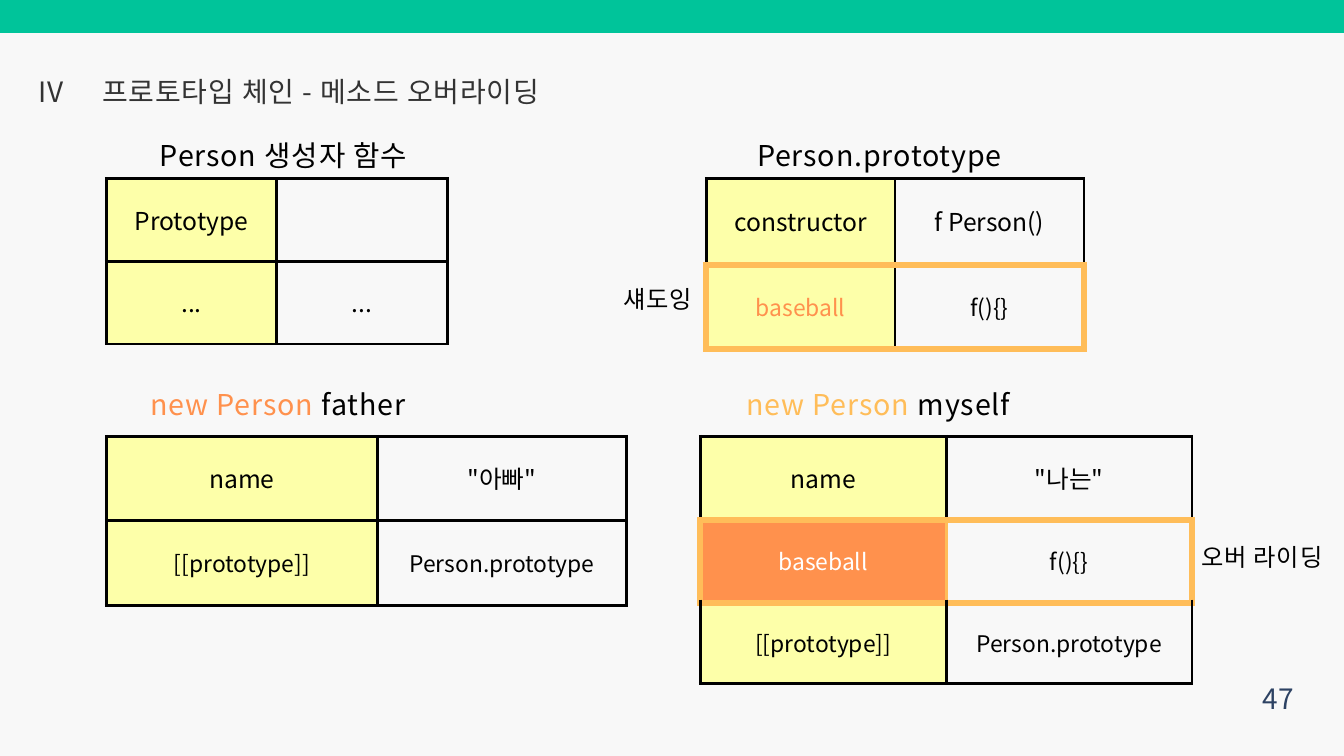
from lxml.etree import SubElement
from pptx import Presentation
from pptx.dml.color import RGBColor
from pptx.enum.shapes import MSO_SHAPE
from pptx.enum.text import MSO_ANCHOR, PP_ALIGN
from pptx.oxml import parse_xml
from pptx.oxml.ns import nsdecls, qn
from pptx.util import Inches, Pt

FONT = "Noto Sans CJK KR"
COLOURS = {
    "paper": "F8F8F8", "banner": "00C49A", "title": "333333", "page": "2D4263",
    "ink": "000000", "key": "FDFFA9", "white": "FFFFFF",
    "orange": "FF914D", "amber": "FFBD59",
}
WIDTH, HEIGHT = 20, 11.25
THIN, THICK = 3.36, 7.82
LARGE, SMALL = 26.4, 24.5
LEFT, CENTER, RIGHT = PP_ALIGN.LEFT, PP_ALIGN.CENTER, PP_ALIGN.RIGHT

# Content: place, runs of (text, colour), size, line spacing, tracking, alignment
TITLE = ((1.52, 1.11, 11.58, 0.51), [("프로토타입 체인 - 메소드 오버라이딩", "title")], 30, 36, 0.9, LEFT)
LABELS = [
    ((0.46, 1.11, 0.59, 0.51), [("IV", "title")], 30, 36, 0.9, CENTER),
    ((2.12, 2.05, 4.2, 0.5), [("Person 생성자 함수", "ink")], 30.7, 36.9, 0.9, CENTER),
    ((11.1, 2.05, 3.98, 0.5), [("Person.prototype", "ink")], 30.7, 36.9, 0.9, CENTER),
    ((1.95, 5.76, 4.37, 0.5), [("new Person", "orange"), (" father", "ink")], 30.7, 36.9, 0.9, CENTER),
    ((10.81, 5.76, 4.52, 0.5), [("new Person", "amber"), (" myself", "ink")], 30.7, 36.9, 0.9, CENTER),
    ((17.74, 8.07, 2.08, 0.43), [("오버 라이딩", "ink")], 26, 31.2, 0.8, CENTER),
    ((9.16, 4.23, 1.26, 0.43), [("섀도잉", "ink")], 26, 31.2, 0.8, CENTER),
    ((18.5, 9.97, 0.75, 0.64), [("47", "page")], 30, 48, 0, RIGHT),
]

# Rows hold key, value and text size; "marked" is the row framed in amber
TABLES = [
    {"at": (1.58, 2.66), "columns": (2.54, 2.54), "heights": (1.23, 1.23),
     "rows": [("Prototype", "", LARGE), ("...", "...", LARGE)]},
    {"at": (1.58, 6.49), "columns": (4.04, 3.7), "heights": (1.26, 1.26),
     "rows": [("name", '"아빠"', LARGE), ("[[prototype]]", "Person.prototype", SMALL)]},
    {"at": (10.51, 2.66), "columns": (2.81, 2.81), "heights": (1.28, 1.25),
     "rows": [("constructor", "f Person()", LARGE), ("baseball", "f(){}", SMALL)],
     "marked": 1, "key_text": "orange", "key_fill": "key", "divider": "ink"},
    {"at": (10.42, 6.49), "columns": (3.66, 3.66), "heights": (1.25, 1.23, 1.2),
     "rows": [("name", '"나는"', LARGE), ("baseball", "f(){}", SMALL),
              ("[[prototype]]", "Person.prototype", SMALL)],
     "marked": 1, "key_text": "white", "key_fill": "orange", "divider": "amber"},
]


def rgb(name):
    return RGBColor.from_string(COLOURS[name])


def write(frame, runs, size, spacing, tracking=0, align=CENTER):
    paragraph = frame.paragraphs[0]
    paragraph.alignment = align
    paragraph.line_spacing = Pt(spacing)
    for text, colour in runs:
        run = paragraph.add_run()
        run.text = text
        run.font.size = Pt(size)
        run.font.name = FONT
        run.font.color.rgb = rgb(colour)
        properties = run.font._element
        SubElement(properties, qn("a:ea")).set("typeface", FONT)
        if tracking:
            properties.set("spc", str(round(tracking * 100)))


def fill_label(shape, place, *text):
    shape.left, shape.top, shape.width, shape.height = map(Inches, place)
    frame = shape.text_frame
    frame.word_wrap = True
    frame.vertical_anchor = MSO_ANCHOR.TOP
    frame.margin_left = frame.margin_right = frame.margin_top = frame.margin_bottom = 0
    write(frame, *text)


def set_borders(cell, borders):
    properties = cell._tc.get_or_add_tcPr()
    for index, side in enumerate("LRTB"):
        colour, width = borders[side]
        properties.insert(index, parse_xml(
            f'<a:ln{side} {nsdecls("a")} w="{Pt(width)}"><a:solidFill>'
            f'<a:srgbClr val="{COLOURS[colour]}"/></a:solidFill></a:ln{side}>'))


def cell_borders(data, row, column):
    borders = dict.fromkeys("LRTB", ("ink", THIN))
    marked = data.get("marked")
    if marked is None:
        return borders
    frame = ("amber", THICK)
    if row in (marked, marked + 1):
        borders["T"] = frame
    if row in (marked, marked - 1):
        borders["B"] = frame
    if row == marked:
        outer, inner = ("L", "R") if column == 0 else ("R", "L")
        borders[outer], borders[inner] = frame, (data["divider"], THIN)
    return borders


def add_property_table(slide, data):
    columns, heights = data["columns"], data["heights"]
    place = (*data["at"], sum(columns), sum(heights))
    table = slide.shapes.add_table(len(heights), len(columns), *map(Inches, place)).table
    table.first_row = table.horz_banding = False
    for column, width in zip(table.columns, columns):
        column.width = Inches(width)
    for r, (*texts, size) in enumerate(data["rows"]):
        table.rows[r].height = Inches(heights[r])
        for c, text in enumerate(texts):
            cell = table.cell(r, c)
            marked_key = c == 0 and r == data.get("marked")
            cell.vertical_anchor = MSO_ANCHOR.MIDDLE
            cell.margin_left = cell.margin_right = Inches(0.23)
            cell.margin_top = cell.margin_bottom = Inches(0.23)
            if c == 0:
                cell.fill.solid()
                cell.fill.fore_color.rgb = rgb(data["key_fill"] if marked_key else "key")
            else:
                cell.fill.background()
            if text:
                colour = data["key_text"] if marked_key else "ink"
                write(cell.text_frame, [(text, colour)], size, size * 1.4)
            set_borders(cell, cell_borders(data, r, c))


def main():
    deck = Presentation()
    deck.slide_width, deck.slide_height = Inches(WIDTH), Inches(HEIGHT)
    slide = deck.slides.add_slide(deck.slide_layouts[5])
    slide.background.fill.solid()
    slide.background.fill.fore_color.rgb = rgb("paper")

    # Banner along the top edge
    banner = slide.shapes.add_shape(MSO_SHAPE.RECTANGLE, 0, 0, Inches(WIDTH), Inches(0.49))
    banner.shadow.inherit = False
    banner.fill.solid()
    banner.fill.fore_color.rgb = rgb("banner")
    banner.line.fill.background()

    # Object tables
    for data in TABLES:
        add_property_table(slide, data)

    # Title, captions and page number
    fill_label(slide.shapes.title, *TITLE)
    for place, *text in LABELS:
        fill_label(slide.shapes.add_textbox(0, 0, 0, 0), place, *text)

    deck.save("out.pptx")


if __name__ == "__main__":
    main()
